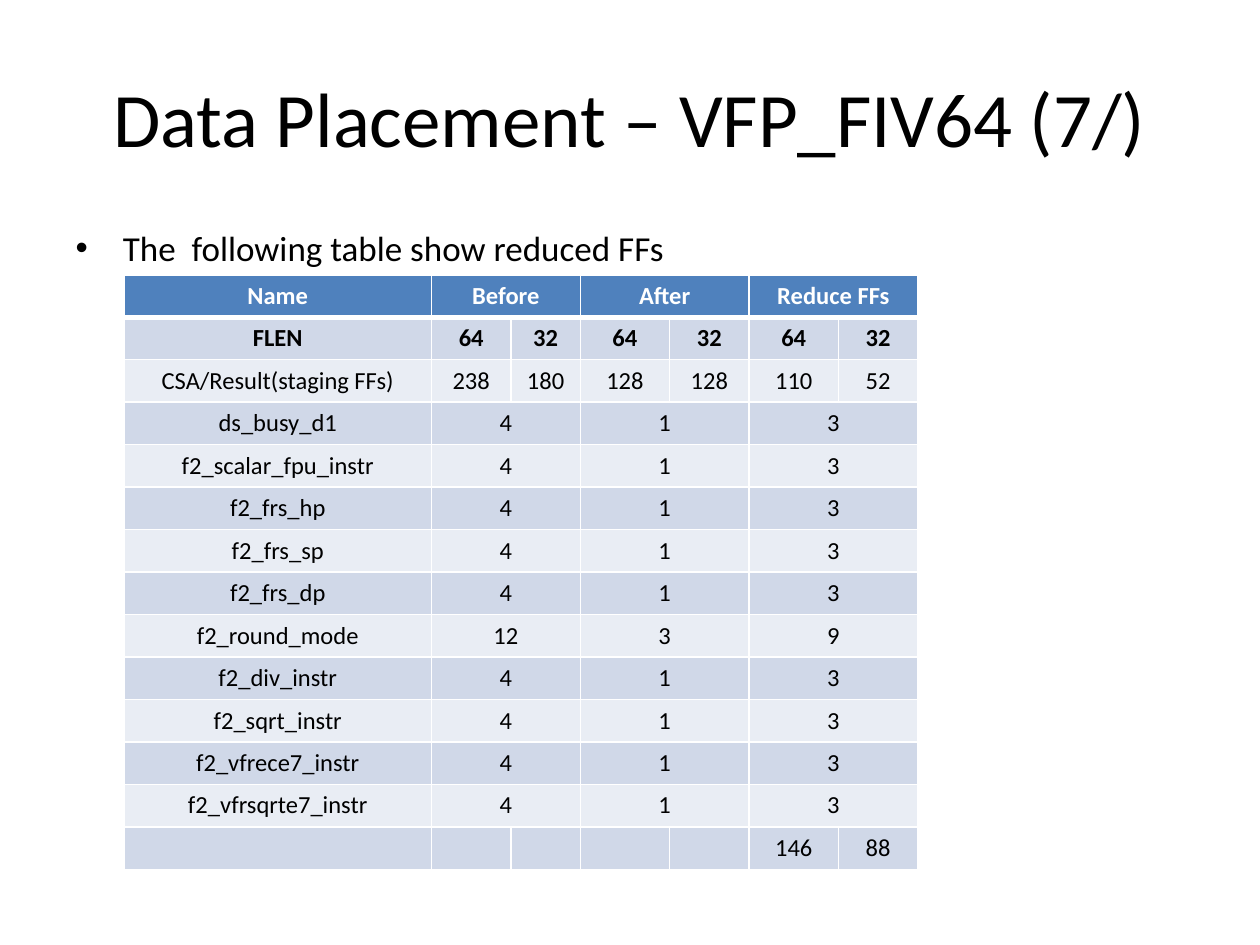
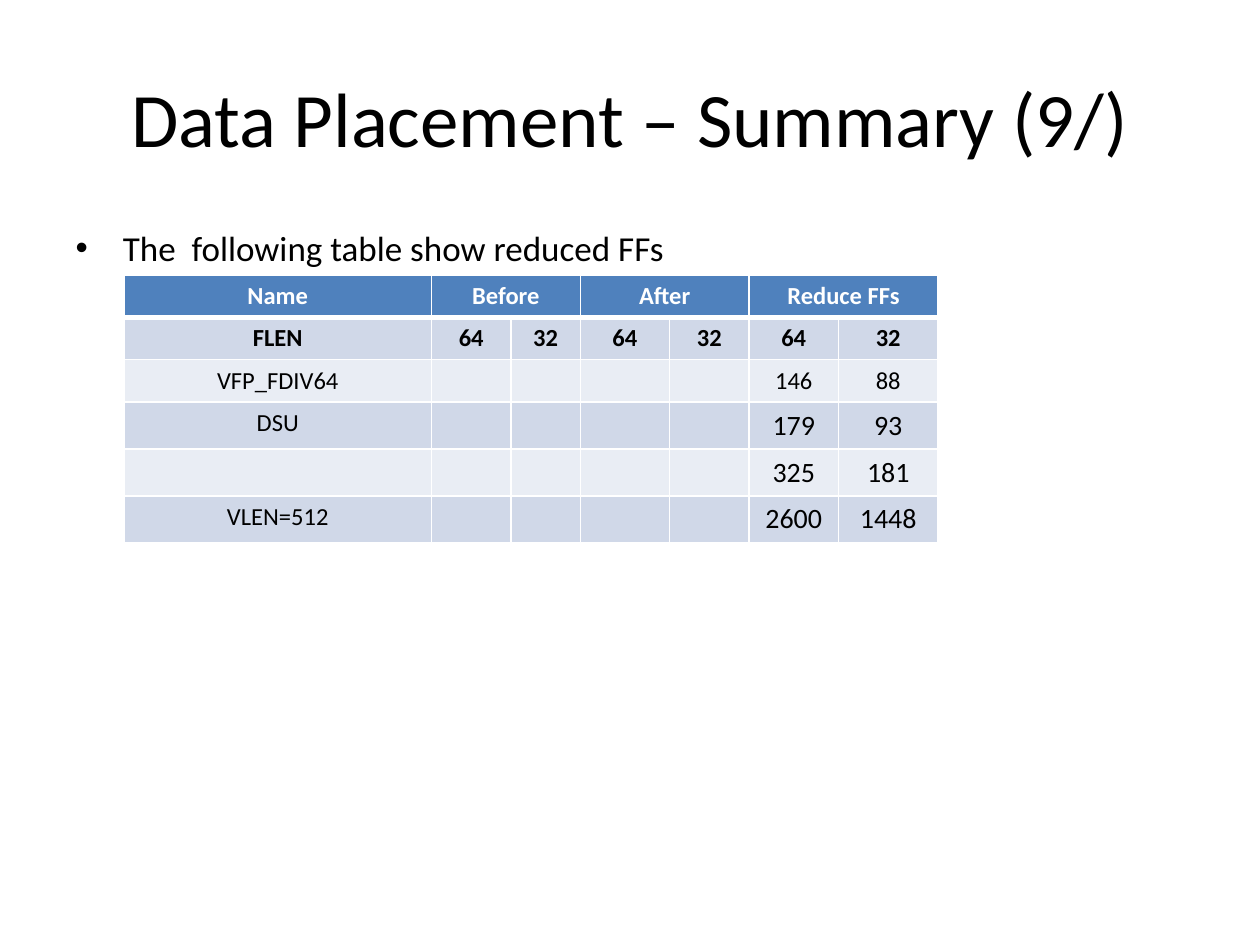
from lxml.etree import SubElement
from pptx import Presentation
from pptx.dml.color import RGBColor
from pptx.enum.text import MSO_ANCHOR, PP_ALIGN
from pptx.oxml.ns import qn
from pptx.util import Pt

COLORS = {
    "text": "000000",
    "paper": "FFFFFF",
    "header": "4F81BD",
    "band_dark": "D0D8E8",
    "band_light": "E9EDF4",
}
FONT = "Calibri"
TABLE_SIZE, TOTAL_SIZE = 14, 16
ROW_HEIGHTS = {TABLE_SIZE: 24.2, TOTAL_SIZE: 26.7}
COLUMN_WIDTHS = [175.7, 45.4, 39.6, 51.1, 45.4, 51.1]

HEADINGS = [
    ("Name", "Before", "After", "Reduce FFs"),
    ("FLEN", "64", "32", "64", "32", "64", "32"),
]


def write(frame, text, size=TABLE_SIZE, color="text", bold=False, align=None):
    """Put one formatted paragraph into a text frame."""
    paragraph = frame.paragraphs[0]
    paragraph.alignment = align
    if not text:
        # An empty cell still needs its size to keep the row height
        SubElement(paragraph._p, qn("a:endParaRPr"), sz=str(size * 100))
        return paragraph
    run = paragraph.add_run()
    run.text = text
    run.font.name = FONT
    run.font.size = Pt(size)
    run.font.bold = bold
    run.font.color.rgb = RGBColor.from_string(COLORS[color])
    return paragraph


class Deck:
    def __init__(self):
        self.presentation = Presentation()
        self.presentation.slide_width = Pt(720)
        self.presentation.slide_height = Pt(540)
        self.slide = None

    def add_slide(self, heading):
        layout = self.presentation.slide_layouts[1]
        self.slide = self.presentation.slides.add_slide(layout)
        title = self.slide.shapes.title
        self.place(title, 36, 21.6, 648, 90)
        title.text_frame.vertical_anchor = MSO_ANCHOR.MIDDLE
        write(title.text_frame, heading, size=44, align=PP_ALIGN.CENTER)

    def add_bullet(self, text):
        body = self.slide.placeholders[1]
        self.place(body, 36, 126, 648, 356.4)
        write(body.text_frame, text, size=20)

    def add_ff_table(self, rows, last_width, total_rows=()):
        """Draw the table; a row of four values spans its column pairs."""
        rows = HEADINGS + rows
        widths = COLUMN_WIDTHS + [last_width]
        sizes = [TOTAL_SIZE if r in total_rows else TABLE_SIZE
                 for r in range(len(rows))]
        heights = [ROW_HEIGHTS[size] for size in sizes]
        table = self.slide.shapes.add_table(
            len(rows), len(widths), Pt(70.9), Pt(157),
            Pt(sum(widths)), Pt(sum(heights))).table
        table.first_row = table.horz_banding = False
        for column, width in zip(table.columns, widths):
            column.width = Pt(width)
        for r, values in enumerate(rows):
            table.rows[r].height = Pt(heights[r])
            for c in range(len(widths)):
                self.style_cell(table.cell(r, c), r)
            paired = len(values) == 4
            for i, value in enumerate(values):
                c = 2 * i - 1 if paired and i else i
                cell = table.cell(r, c)
                if paired and i:
                    cell.merge(table.cell(r, c + 1))
                write(cell.text_frame, value,
                      size=sizes[r] if c >= 5 else TABLE_SIZE,
                      color="text" if r else "paper",
                      bold=r < len(HEADINGS), align=PP_ALIGN.CENTER)

    def style_cell(self, cell, row):
        # Borders come before the fill in the cell properties
        properties = cell._tc.get_or_add_tcPr()
        thick_edge = {0: "lnB", 1: "lnT"}.get(row)
        for edge in ("lnL", "lnR", "lnT", "lnB"):
            width = 3 if edge == thick_edge else 1
            line = SubElement(properties, qn(f"a:{edge}"), w=str(Pt(width)))
            fill = SubElement(line, qn("a:solidFill"))
            SubElement(fill, qn("a:srgbClr"), val=COLORS["paper"])
        band = "band_dark" if row % 2 else "band_light"
        cell.fill.solid()
        cell.fill.fore_color.rgb = RGBColor.from_string(
            COLORS[band if row else "header"])

    @staticmethod
    def place(shape, left, top, width, height):
        shape.left, shape.top = Pt(left), Pt(top)
        shape.width, shape.height = Pt(width), Pt(height)


def main():
    deck = Deck()
    intro = "The  following table show reduced FFs"
    blanks = ("",) * 4

    # Divider: flip-flops saved per signal
    signals = ["ds_busy_d1", "f2_scalar_fpu_instr", "f2_frs_hp", "f2_frs_sp",
               "f2_frs_dp", "f2_round_mode", "f2_div_instr", "f2_sqrt_instr",
               "f2_vfrece7_instr", "f2_vfrsqrte7_instr"]
    savings = {"f2_round_mode": ("12", "3", "9")}
    divider_rows = [
        ("CSA/Result(staging FFs)", "238", "180", "128", "128", "110", "52"),
        *[(name, *savings.get(name, ("4", "1", "3"))) for name in signals],
        ("", *blanks, "146", "88"),
    ]
    deck.add_slide("Data Placement – VFP_FIV64 (7/)")
    deck.add_bullet(intro)
    deck.add_ff_table(divider_rows, last_width=45.4)

    # Summary: totals per unit
    unit_savings = [("VFP_FDIV64", "146", "88"), ("DSU", "179", "93"),
                    ("", "325", "181"), ("VLEN=512", "2600", "1448")]
    summary_rows = [(unit, *blanks, *saved) for unit, *saved in unit_savings]
    deck.add_slide("Data Placement – Summary (9/)")
    deck.add_bullet(intro)
    deck.add_ff_table(summary_rows, last_width=56.9, total_rows=(3, 4, 5))

    deck.presentation.save("out.pptx")


if __name__ == "__main__":
    main()
